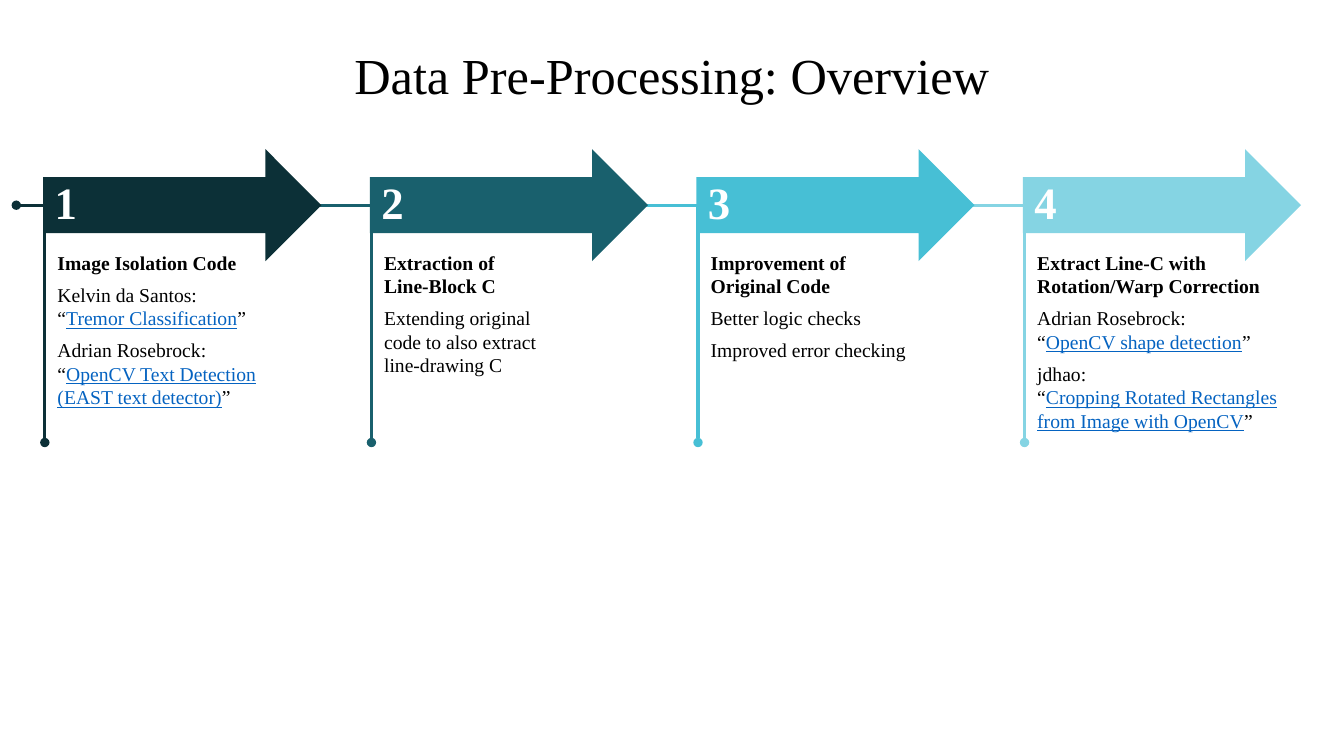
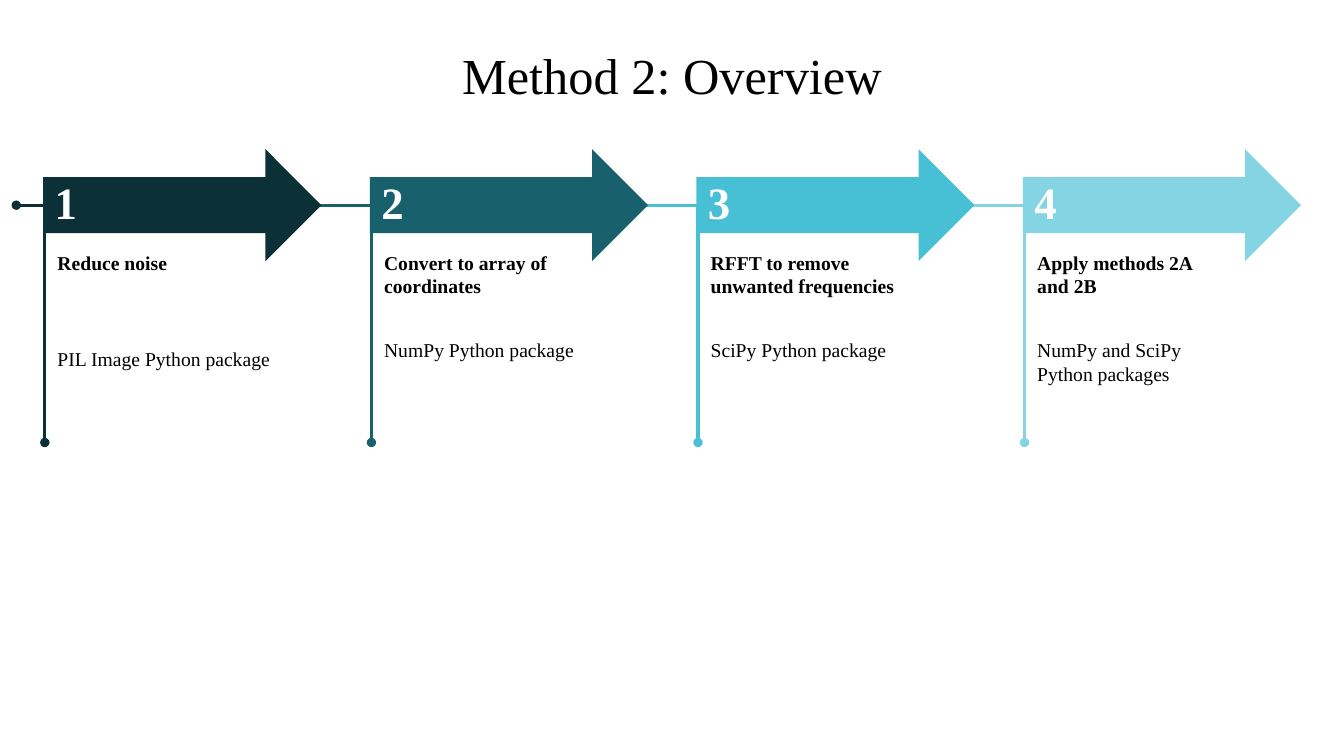
from lxml import etree
from pptx import Presentation
from pptx.dml.color import RGBColor
from pptx.enum.shapes import MSO_CONNECTOR, MSO_SHAPE
from pptx.enum.text import PP_ALIGN
from pptx.oxml.ns import qn
from pptx.util import Cm, Pt

STRAIGHT = MSO_CONNECTOR.STRAIGHT
RIGHT_ARROW = MSO_SHAPE.RIGHT_ARROW
LEFT, CENTER = PP_ALIGN.LEFT, PP_ALIGN.CENTER

THEME = {
    "font": "Times New Roman",
    "black": RGBColor.from_string("000000"),
    "white": RGBColor.from_string("FFFFFF"),
    "link": RGBColor.from_string("0563C1"),
    "steps": [RGBColor.from_string(code) for code in ("0C3037", "19606D", "47BFD5", "85D4E3")],
    "title": Pt(36),
    "number": Pt(32),
    "body": Pt(14),
    "leading": Pt(16.8),
    "gap": Pt(6),
    "line": Pt(2.25),
}
STYLES = {
    "title": {"size": THEME["title"], "color": THEME["black"]},
    "number": {"size": THEME["number"], "color": THEME["white"], "bold": True},
    "heading": {"size": THEME["body"], "color": THEME["black"], "bold": True},
    "body": {"size": THEME["body"], "color": THEME["black"]},
    "link": {"size": THEME["body"], "color": THEME["link"], "underline": True},
}

PAGE_WIDTH, PAGE_HEIGHT = 33.87, 19.05
ARROW_LEFT, ARROW_TOP, ARROW_WIDTH, ARROW_HEIGHT = 1.09, 3.76, 7.01, 2.82
PITCH = 8.23
AXIS = ARROW_TOP + ARROW_HEIGHT / 2
STEM_END = 11.15
AXIS_SPANS = [(0.41, 6.78), (3.63, 12.55), (13.06, 22), (21.36, 30.28)]
TEXT_WIDTHS = [6.1, 6.73, 5.23, 6.65]

PAGES = [
    ("Data Pre-Processing: Overview", [
        ("Image Isolation Code", 0, [
            ["Kelvin da Santos:\n“", "Tremor Classification", "”"],
            ["Adrian Rosebrock:\n“", "OpenCV Text Detection\n(EAST text detector)", "”"],
        ]),
        ("Extraction of\nLine-Block C", 0, [
            ["Extending original\ncode to also extract\nline-drawing C"],
        ]),
        ("Improvement of\nOriginal Code", 0, [
            ["Better logic checks"],
            ["Improved error checking"],
        ]),
        ("Extract Line-C with\nRotation/Warp Correction", 0, [
            ["Adrian Rosebrock:\n“", "OpenCV shape detection", "”"],
            ["jdhao:\n“", "Cropping Rotated Rectangles\nfrom Image with OpenCV", "”"],
        ]),
    ]),
    ("Method 2: Overview", [
        ("Reduce noise", 2, [["PIL Image Python package"]]),
        ("Convert to array of\ncoordinates", 1, [["NumPy Python package"]]),
        ("RFFT to remove\nunwanted frequencies", 1, [["SciPy Python package"]]),
        ("Apply methods 2A\nand 2B", 1, [["NumPy and SciPy\nPython packages"]]),
    ]),
]


def add_text(page, place, paragraphs, align=LEFT, inset=None, leading=None):
    box = page.shapes.add_textbox(*map(Cm, place))
    frame = box.text_frame
    frame.word_wrap = True
    if inset is not None:
        for side in ("left", "right", "top", "bottom"):
            setattr(frame, f"margin_{side}", inset)
    for row, (space, spans) in enumerate(paragraphs):
        para = frame.add_paragraph() if row else frame.paragraphs[0]
        for name, value in {"alignment": align, "line_spacing": leading, "space_before": space}.items():
            setattr(para, name, value)
        for text, style in spans:
            for number, part in enumerate(text.split("\n")):
                if number:
                    para.add_line_break()
                span = para.add_run()
                span.text = part
                span.font.name = THEME["font"]
                for name, value in STYLES[style].items():
                    if name == "color":
                        span.font.color.rgb = value
                    else:
                        setattr(span.font, name, value)


def add_line(page, start, end, color, ends):
    line = page.shapes.add_connector(STRAIGHT, *map(Cm, start + end))
    line.line.color.rgb = color
    line.line.width = THEME["line"]
    outline = line.line._get_or_add_ln()
    for name in ends:
        etree.SubElement(outline, qn(f"a:{name}"), type="oval")
    etree.SubElement(line._element.spPr, qn("a:effectLst"))


deck = Presentation()
deck.slide_width, deck.slide_height = Cm(PAGE_WIDTH), Cm(PAGE_HEIGHT)

for title, steps in PAGES:
    page = deck.slides.add_slide(deck.slide_layouts[6])
    add_text(page, (0, 0.99, PAGE_WIDTH, 1.8), [(None, [(title, "title")])], CENTER)

    for index in (2, 3, 1, 0):
        start, end = AXIS_SPANS[index]
        add_line(page, (start, AXIS), (end, AXIS), THEME["steps"][index], ("headEnd", "tailEnd"))

    for index, (heading, skipped_lines, notes) in enumerate(steps):
        color = THEME["steps"][index]
        left = ARROW_LEFT + index * PITCH
        arrow = page.shapes.add_shape(
            RIGHT_ARROW, Cm(left), Cm(ARROW_TOP), Cm(ARROW_WIDTH), Cm(ARROW_HEIGHT))
        arrow.shadow.inherit = False
        arrow.fill.solid()
        arrow.fill.fore_color.rgb = color
        arrow.line.fill.background()

        space = THEME["gap"] + skipped_lines * (THEME["leading"] + THEME["gap"])
        paragraphs = [(None, [(heading, "heading")])]
        for note in notes:
            spans = [(text, "link" if place % 2 else "body") for place, text in enumerate(note)]
            paragraphs.append((space, spans))
        add_text(page, (left + 0.36, 6.32, TEXT_WIDTHS[index], 4.83), paragraphs,
                 inset=0, leading=THEME["leading"])

        stem = left + 0.04
        add_line(page, (stem, AXIS), (stem, STEM_END), color, ("tailEnd",))
        add_text(page, (stem, 4.29, 1.12, 1.63), [(None, [(str(index + 1), "number")])])

deck.save("out.pptx")
